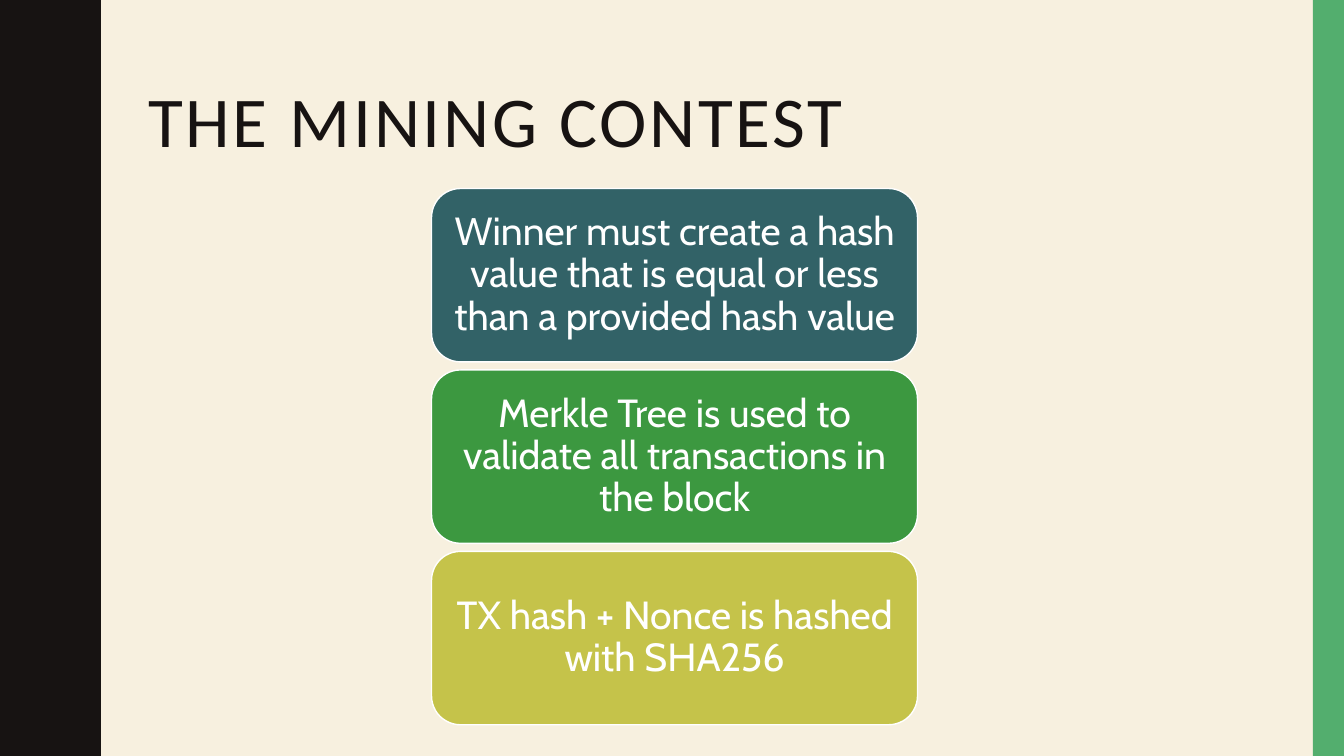
from pptx import Presentation
from pptx.dml.color import RGBColor
from pptx.enum.shapes import MSO_SHAPE as Shape
from pptx.enum.text import MSO_ANCHOR as Anchor, PP_ALIGN as Align
from pptx.util import Inches, Pt

WIDTH, HEIGHT = 13.33, 7.5
CREAM, BLACK, GREEN, WHITE = "F7F0DF", "171312", "53AE6E", "FFFFFF"
HALF_WAVE = 0.75
# One trough-to-crest stretch of the wavy edge, as (x, y) in inches
WAVE_EDGE = [
    (0.78, 0), (0.78, 0.07), (0.79, 0.14), (0.8, 0.2), (0.81, 0.25),
    (0.83, 0.29), (0.85, 0.33), (0.87, 0.38), (0.89, 0.42), (0.91, 0.46),
    (0.93, 0.5), (0.95, 0.55), (0.96, 0.61), (0.97, 0.68), (0.97, 0.75),
]
RULES = [
    ("Winner must create a hash value that is equal or less than "
     "a provided hash value", "326267"),
    ("Merkle Tree is used to validate all transactions in the block", "3C9840"),
    ("TX hash + Nonce is hashed with SHA256", "C5C34A"),
]


def color(value):
    return RGBColor.from_string(value)


def paint(shape, fill, line=None):
    shape.shadow.inherit = False
    shape.fill.solid()
    shape.fill.fore_color.rgb = color(fill)
    if line:
        shape.line.color.rgb = color(line)
        shape.line.width = Pt(1)
    else:
        shape.line.fill.background()


def write(shape, text, *, size, font, ink, align=Align.LEFT, spacing=0, insets=(0.1, 0.05)):
    frame = shape.text_frame
    frame.word_wrap = True
    frame.vertical_anchor = Anchor.MIDDLE
    frame.margin_left = frame.margin_right = Inches(insets[0])
    frame.margin_top = frame.margin_bottom = Inches(insets[1])
    para = frame.paragraphs[0]
    para.alignment = align
    para.line_spacing = 0.9
    span = para.add_run()
    span.text = text
    span.font.size = Pt(size)
    span.font.name = font
    span.font.bold = False
    span.font.color.rgb = color(ink)
    if spacing:
        span.font._element.set("spc", str(spacing * 100))


def add_wavy_band(page):
    points = []
    for half in range(round(HEIGHT / HALF_WAVE)):
        top = half * HALF_WAVE
        if half % 2 == 0:
            points += [(x, top + y) for x, y in WAVE_EDGE]
        else:
            points += [(x, top + HALF_WAVE - y) for x, y in reversed(WAVE_EDGE)]
    builder = page.shapes.build_freeform(0, 0, scale=Inches(1))
    builder.add_line_segments(points + [(0, HEIGHT)], close=True)
    paint(builder.convert_to_shape(), BLACK)


def add_side_strip(page, width):
    strip = page.shapes.add_shape(
        Shape.RECTANGLE, Inches(WIDTH - width), 0, Inches(width), Inches(HEIGHT))
    paint(strip, GREEN)


def add_title(page, text, left, top, width, height):
    title = page.shapes.title
    title.left, title.top = Inches(left), Inches(top)
    title.width, title.height = Inches(width), Inches(height)
    write(title, text, size=51, font="Calibri", ink=BLACK, spacing=2)


def add_rule_stack(page, rules, left, top, width, height, gap):
    card_height = (height - gap * (len(rules) - 1)) / len(rules)
    for index, (text, fill) in enumerate(rules):
        card_top = top + index * (card_height + gap)
        card = page.shapes.add_shape(
            Shape.ROUNDED_RECTANGLE, Inches(left), Inches(card_top),
            Inches(width), Inches(card_height))
        paint(card, fill, WHITE)
        write(card, text, size=28, font="Cabin", ink=WHITE,
              align=Align.CENTER, insets=(0.12, 0.06))


def main():
    deck = Presentation()
    deck.slide_width, deck.slide_height = Inches(WIDTH), Inches(HEIGHT)
    page = deck.slides.add_slide(deck.slide_layouts.get_by_name("Title Only"))
    page.background.fill.solid()
    page.background.fill.fore_color.rgb = color(CREAM)

    # Decorated edges
    add_wavy_band(page)
    add_side_strip(page, 0.31)

    # Heading and the three contest rules
    add_title(page, "THE MINING CONTEST", 1.37, 0.42, 11.13, 1.63)
    add_rule_stack(page, RULES, 4.28, 1.87, 4.82, 5.32, gap=0.08)

    deck.save("out.pptx")


if __name__ == "__main__":
    main()
